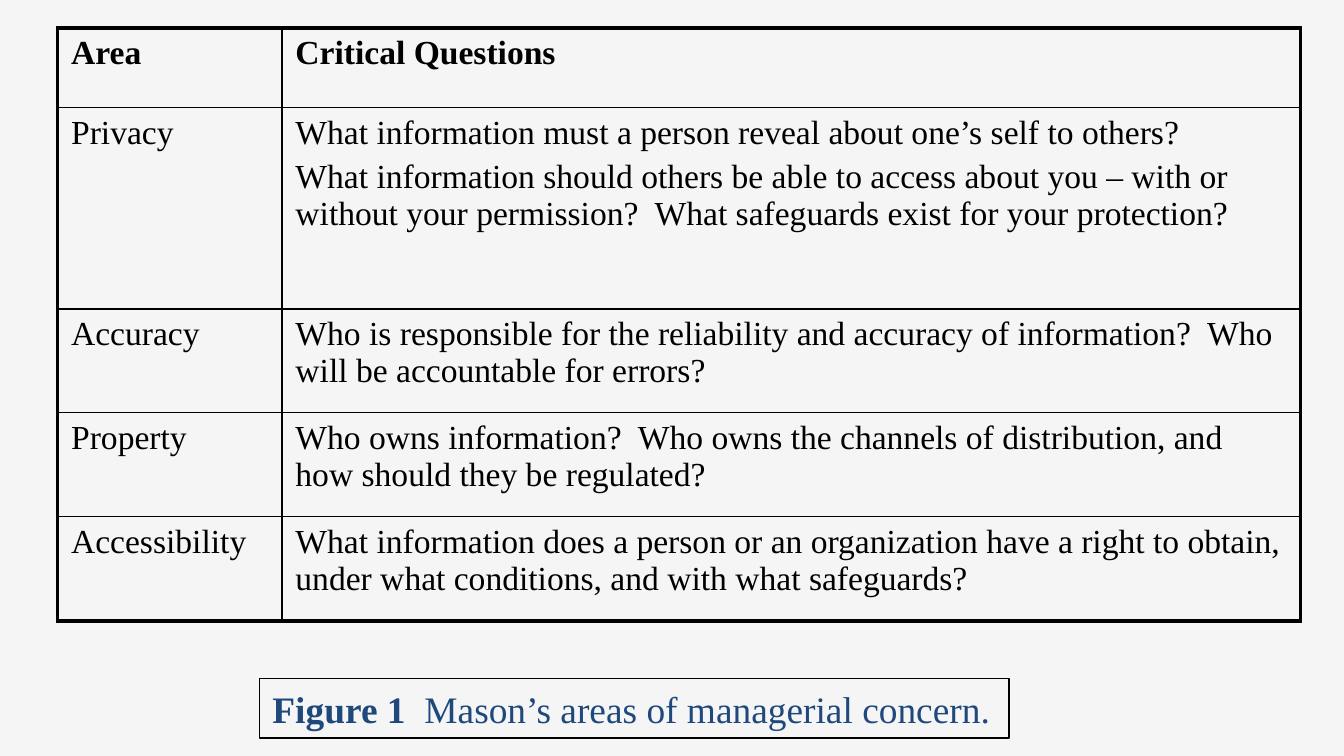
from dataclasses import dataclass

from lxml.etree import SubElement
from pptx import Presentation
from pptx.dml.color import RGBColor
from pptx.enum.shapes import MSO_SHAPE
from pptx.enum.text import MSO_ANCHOR, MSO_AUTO_SIZE, PP_ALIGN
from pptx.oxml.ns import qn
from pptx.util import Cm, Pt


@dataclass(frozen=True)
class Theme:
    background: RGBColor = RGBColor(0xF5, 0xF5, 0xF5)
    ink: RGBColor = RGBColor(0, 0, 0)
    caption: RGBColor = RGBColor(0x1F, 0x49, 0x7D)
    font: str = "Times New Roman"
    table_size: Pt = Pt(18)
    caption_size: Pt = Pt(20)
    thick: Pt = Pt(2.25)
    thin: Pt = Pt(1)
    hairline: Pt = Pt(0.75)


theme = Theme()


def add_run(p, text, size, color, bold):
    r = p.add_run()
    r.text = text
    r.font.name = theme.font
    r.font.size = size
    r.font.color.rgb = color
    r.font.bold = bold


def add_border(cell, side, width):
    ln = SubElement(cell._tc.get_or_add_tcPr(), qn(f"a:ln{side}"), w=str(int(width)))
    fill = SubElement(ln, qn("a:solidFill"))
    SubElement(fill, qn("a:srgbClr"), val=str(theme.ink))


rows = [
    (1.5, "Area", ["Critical Questions"]),
    (3.81, "Privacy", [
        "What information must a person reveal about one’s self to others?",
        "What information should others be able to access about you – with or "
        "without your permission?  What safeguards exist for your protection?",
    ]),
    (1.96, "Accuracy", [
        "Who is responsible for the reliability and accuracy of information?  "
        "Who will be accountable for errors?",
    ]),
    (1.96, "Property", [
        "Who owns information?  Who owns the channels of distribution, and "
        "how should they be regulated?",
    ]),
    (1.98, "Accessibility", [
        "What information does a person or an organization have a right to obtain, "
        "under what conditions, and with what safeguards?",
    ]),
]
widths = [4.24, 19.25]

prs = Presentation()
prs.slide_width = Cm(25.4)
prs.slide_height = Cm(14.29)
s = prs.slides.add_slide(prs.slide_layouts[6])
s.background.fill.solid()
s.background.fill.fore_color.rgb = theme.background

height = sum(row[0] for row in rows)
table = s.shapes.add_table(
    len(rows), len(widths), Cm(1.09), Cm(0.53), Cm(sum(widths)), Cm(height)
).table
table.horz_banding = False
for column, width in zip(table.columns, widths):
    column.width = Cm(width)

for i, (row_height, area, questions) in enumerate(rows):
    table.rows[i].height = Cm(row_height)
    for j, texts in enumerate([[area], questions]):
        cell = table.cell(i, j)
        outer = {
            "L": j == 0,
            "R": j == len(widths) - 1,
            "T": i == 0,
            "B": i == len(rows) - 1,
        }
        for side, is_outer in outer.items():
            add_border(cell, side, theme.thick if is_outer else theme.thin)
        cell.fill.background()
        tf = cell.text_frame
        for k, text in enumerate(texts):
            p = tf.add_paragraph() if k else tf.paragraphs[0]
            if k:
                p.space_before = Pt(3.6)
            add_run(p, text, theme.table_size, theme.ink, i == 0)

caption = s.shapes.add_shape(MSO_SHAPE.RECTANGLE, Cm(4.9), Cm(12.83), Cm(14.17), Cm(1.12))
caption.shadow.inherit = False
caption.fill.background()
caption.line.color.rgb = theme.ink
caption.line.width = theme.hairline
tf = caption.text_frame
tf.word_wrap = False
tf.auto_size = MSO_AUTO_SIZE.SHAPE_TO_FIT_TEXT
tf.vertical_anchor = MSO_ANCHOR.MIDDLE
p = tf.paragraphs[0]
p.alignment = PP_ALIGN.LEFT
add_run(p, "Figure 1  ", theme.caption_size, theme.caption, True)
add_run(p, "Mason’s areas of managerial concern.", theme.caption_size, theme.caption, False)

prs.save("out.pptx")
